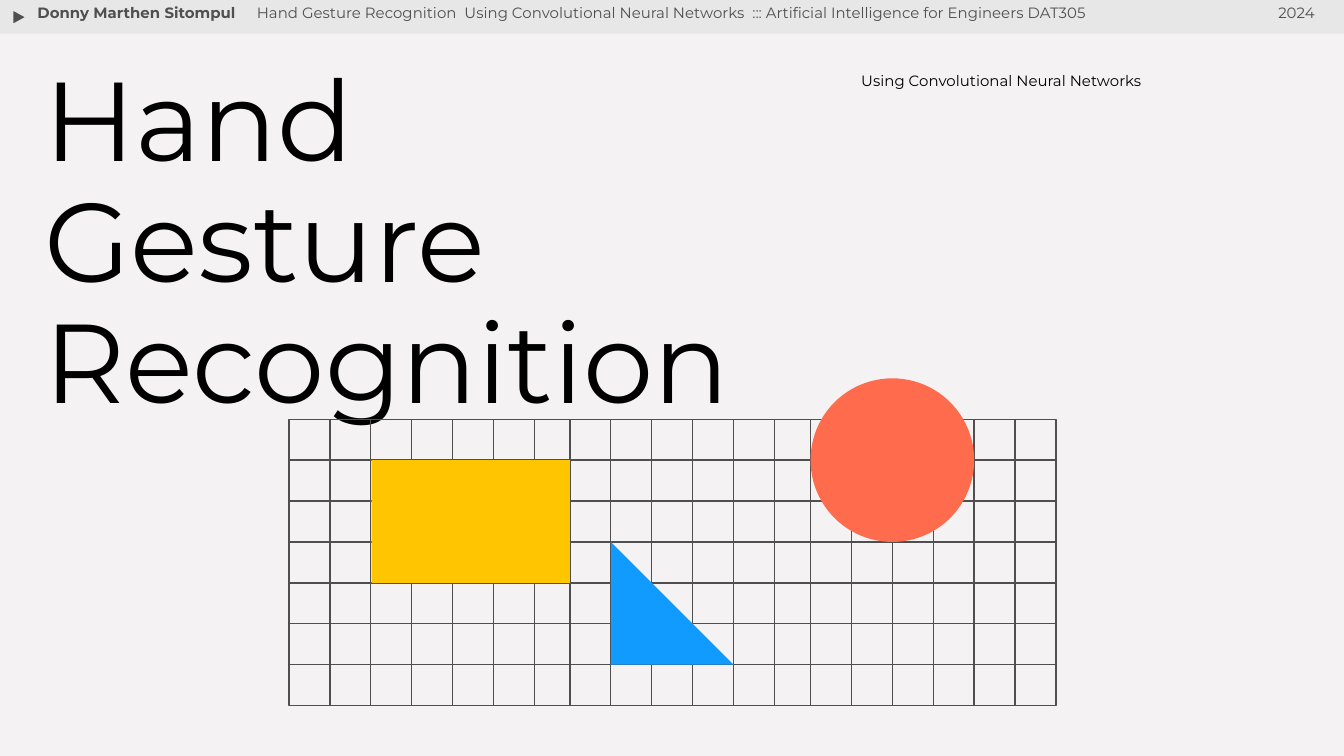
"""Build the title slide of a hand gesture recognition talk."""
from lxml import etree
from pptx import Presentation
from pptx.dml.color import RGBColor
from pptx.enum.shapes import MSO_CONNECTOR, MSO_SHAPE
from pptx.enum.text import MSO_ANCHOR, PP_ALIGN
from pptx.oxml.ns import qn
from pptx.util import Pt

LEFT, RIGHT, TOP = PP_ALIGN.LEFT, PP_ALIGN.RIGHT, MSO_ANCHOR.TOP
RECTANGLE, OVAL = MSO_SHAPE.RECTANGLE, MSO_SHAPE.OVAL
TRIANGLE, RIGHT_TRIANGLE = MSO_SHAPE.ISOSCELES_TRIANGLE, MSO_SHAPE.RIGHT_TRIANGLE
STRAIGHT = MSO_CONNECTOR.STRAIGHT

COLORS = {
    "background": "F4F2F2", "bar": "E7E7E7", "gray": "4F4F4F", "black": "000000",
    "yellow": "FFC600", "coral": "FF6B4D", "blue": "119BFE",
}
FONT = "Montserrat"
WIDTH, HEIGHT = 720, 405
INSET = 7.2
LINE_WIDTH = 0.75

TEXTS = [
    ("2024", dict(box=(621.4, -2.9, 90, 24.5), color="gray", align=RIGHT)),
    ("Using Convolutional Neural Networks", dict(box=(454.3, 33.8, 254.9, 58.3))),
    ("Hand Gesture Recognition",
     dict(box=(16.6, 27.4, 420.5, 157.7), size=60, spacing=0.9)),
    ("Donny Marthen Sitompul",
     dict(box=(13, -2.9, 141.8, 26.6), color="gray", bold=True)),
    ("Hand Gesture Recognition  Using Convolutional Neural Networks"
     "  ::: Artificial Intelligence for Engineers DAT305",
     dict(box=(130.5, -2.9, 550, 24.5), color="gray")),
]

CELL = 21.92
GRID_TOP, ROWS = 224.6, 7
COLUMN_BLOCKS = [(154.8, 7), (305.3, 6), (434.2, 7)]
columns = [start + i * CELL for start, count in COLUMN_BLOCKS for i in range(count)]
rows = [GRID_TOP + i * CELL for i in range(ROWS + 1)]

FIGURES = [
    (RECTANGLE, "yellow", (columns[2] + 0.5, rows[1], columns[7], rows[4])),
    (OVAL, "coral", (columns[13], rows[1] - 2 * CELL, columns[17], rows[3])),
    (RIGHT_TRIANGLE, "blue", (columns[8], rows[3], columns[11], rows[6])),
]


def rgb(name):
    return RGBColor.from_string(COLORS[name])


def add_text(slide, text, box, size=8, color="black", bold=False, align=LEFT, spacing=None):
    frame = slide.shapes.add_textbox(*map(Pt, box)).text_frame
    frame.word_wrap = True
    frame.vertical_anchor = TOP
    frame.margin_left = frame.margin_right = Pt(INSET)
    frame.margin_top = frame.margin_bottom = Pt(INSET)
    paragraph = frame.paragraphs[0]
    paragraph.alignment = align
    paragraph.line_spacing = spacing
    run = paragraph.add_run()
    run.text = text
    run.font.name, run.font.size, run.font.bold = FONT, Pt(size), bold
    run.font.color.rgb = rgb(color)


def add_figure(slide, preset, box, fill=None, line=None):
    figure = slide.shapes.add_shape(preset, *map(Pt, box))
    figure.shadow.inherit = False
    if fill:
        figure.fill.solid()
        figure.fill.fore_color.rgb = rgb(fill)
    else:
        figure.fill.background()
    if line:
        figure.line.color.rgb = rgb(line)
        figure.line.width = Pt(LINE_WIDTH)
    else:
        figure.line.fill.background()
    return figure


def add_line(slide, *ends):
    rule = slide.shapes.add_connector(STRAIGHT, *map(Pt, ends))
    rule.line.color.rgb = rgb("gray")
    rule.line.width = Pt(LINE_WIDTH)
    etree.SubElement(rule._element.spPr, qn("a:effectLst"))


def main():
    deck = Presentation()
    deck.slide_width, deck.slide_height = Pt(WIDTH), Pt(HEIGHT)
    slide = deck.slides.add_slide(deck.slide_layouts[6])
    slide.background.fill.solid()
    slide.background.fill.fore_color.rgb = rgb("background")

    add_figure(slide, RECTANGLE, (0, 0, WIDTH, 18), fill="bar")
    marker = add_figure(slide, TRIANGLE, (6.5, 5.6, 7.9, 7.2), fill="gray", line="bar")
    marker.rotation = 90
    for text, style in TEXTS:
        add_text(slide, text, **style)

    left, right, top, bottom = columns[0], columns[-1], rows[0], rows[-1]
    add_figure(slide, RECTANGLE, (left, top, right - left, bottom - top), line="gray")
    for x in columns[1:-1]:
        add_line(slide, x, top, x, bottom)
    for y in rows[1:-1]:
        add_line(slide, left, y, right, y)
    for preset, color, (x1, y1, x2, y2) in FIGURES:
        add_figure(slide, preset, (x1, y1, x2 - x1, y2 - y1), fill=color)

    deck.save("out.pptx")


if __name__ == "__main__":
    main()
